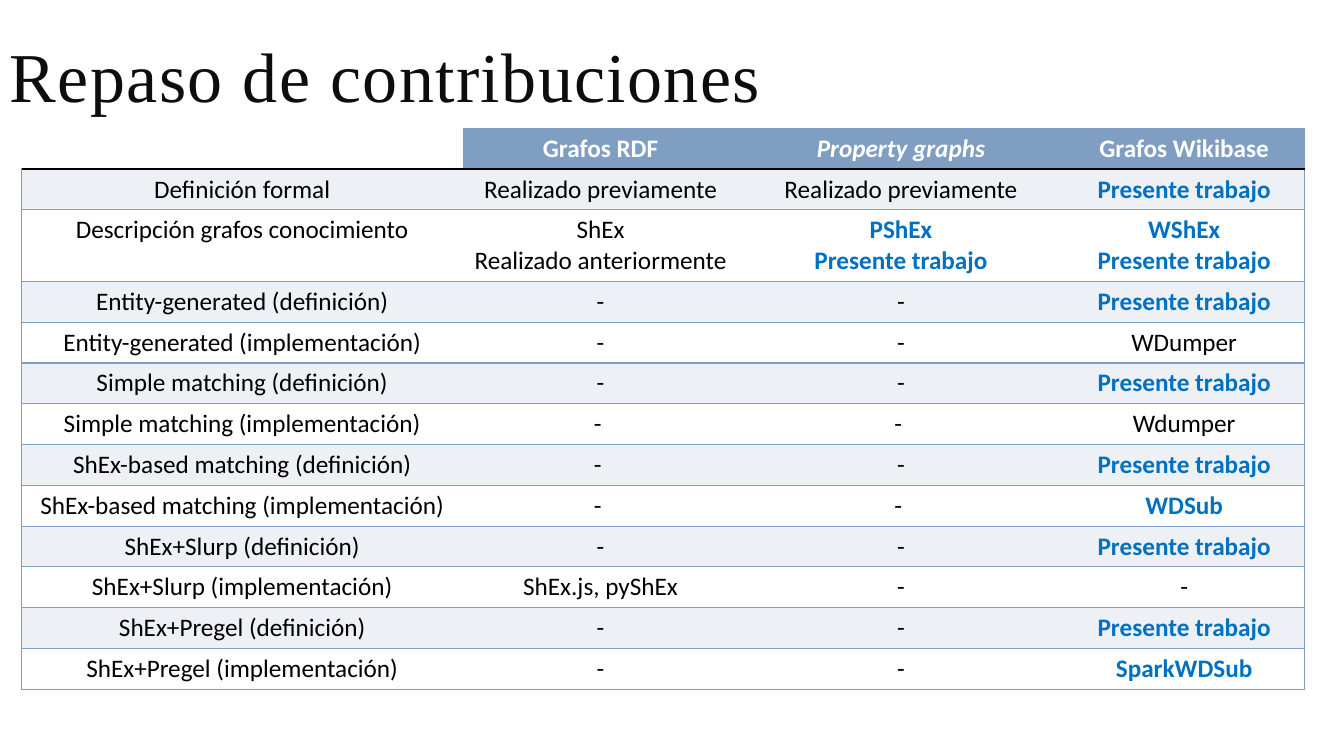
"""Build the slide that reviews the contributions in a table."""
from pptx import Presentation
from pptx.dml.color import RGBColor
from pptx.enum.text import MSO_ANCHOR, PP_ALIGN
from pptx.oxml.ns import qn
from pptx.util import Pt
from lxml.etree import SubElement

TITLE = "Repaso de contribuciones"
HEADERS = ("", "Grafos RDF", "Property graphs", "Grafos Wikibase")
CONTRIBUTIONS = [
    ("Definición formal", "Realizado previamente", "Realizado previamente", "Presente trabajo"),
    ("Descripción grafos conocimiento", "ShEx\nRealizado anteriormente",
     "PShEx\nPresente trabajo", "WShEx\nPresente trabajo"),
    ("Entity-generated (definición)", "-", "-", "Presente trabajo"),
    ("Entity-generated (implementación)", "-", "-", "WDumper"),
    ("Simple matching (definición)", "-", "-", "Presente trabajo"),
    ("Simple matching (implementación)", "- ", "- ", "Wdumper"),
    ("ShEx-based matching (definición)", "- ", "-", "Presente trabajo"),
    ("ShEx-based matching (implementación)", "- ", "- ", "WDSub"),
    ("ShEx+Slurp (definición)", "-", "-", "Presente trabajo"),
    ("ShEx+Slurp (implementación)", "ShEx.js, pyShEx", "-", "-"),
    ("ShEx+Pregel (definición)", "-", "-", "Presente trabajo"),
    ("ShEx+Pregel (implementación)", "-", "-", "SparkWDSub"),
]
OWN_WORK = {"Presente trabajo", "PShEx", "WShEx", "WDSub", "SparkWDSub"}
ITALIC_HEADER = "Property graphs"

COLUMN_WIDTHS = (315.4, 196.6, 232.6, 172)
LINE_HEIGHT = 21.95
CELL_PADDING = 7.2

STEEL = RGBColor(0x80, 0x9E, 0xC2)
BAND = RGBColor(0xED, 0xF0, 0xF4)
WHITE = RGBColor(0xFF, 0xFF, 0xFF)
BLACK = RGBColor(0, 0, 0)
BLUE = RGBColor(0x00, 0x70, 0xC0)
TITLE_INK = RGBColor(0x0D, 0x0D, 0x0D)


def set_borders(cell, left, right, top, bottom):
    """Draw the given side colours and hide the sides given as None."""
    properties = cell._tc.get_or_add_tcPr()
    for tag, color in zip(("a:lnL", "a:lnR", "a:lnT", "a:lnB"), (left, right, top, bottom)):
        line = SubElement(properties, qn(tag), w=str(Pt(1)))
        if color is None:
            SubElement(line, qn("a:noFill"))
        else:
            SubElement(SubElement(line, qn("a:solidFill")), qn("a:srgbClr"), val=str(color))


def add_title(slide):
    """Place the slide title."""
    title = slide.shapes.add_textbox(0, 0, Pt(946.8), Pt(118)).text_frame
    title.word_wrap = True
    title.vertical_anchor = MSO_ANCHOR.MIDDLE
    paragraph = title.paragraphs[0]
    paragraph.text = TITLE
    paragraph.line_spacing = 0.8
    run = paragraph.runs[0]
    run.font.name = "Times New Roman"
    run.font.size = Pt(50)
    run.font.color.rgb = TITLE_INK
    run.font._element.set("spc", "100")


def write_cell(cell, text, is_header):
    """Write centred text and colour it by its role."""
    cell.text_frame.text = text
    for paragraph in cell.text_frame.paragraphs:
        own = paragraph.text in OWN_WORK
        paragraph.alignment = PP_ALIGN.CENTER
        paragraph.font.size = Pt(18)
        for run in paragraph.runs:
            run.font.name = "Calibri"
            run.font.size = Pt(18)
            run.font.bold = is_header or own
            run.font.italic = run.text == ITALIC_HEADER
            run.font.color.rgb = WHITE if is_header else BLUE if own else BLACK


def add_contributions(slide):
    """Place the table of contributions."""
    rows = [HEADERS, *CONTRIBUTIONS]
    heights = [CELL_PADDING + LINE_HEIGHT * (1 + max(text.count("\n") for text in row))
               for row in rows]
    last_column = len(HEADERS) - 1
    table = slide.shapes.add_table(len(rows), len(HEADERS), Pt(15.3), Pt(91.6),
                                   Pt(sum(COLUMN_WIDTHS)), Pt(sum(heights))).table
    table.first_row = table.horz_banding = False
    for column, width in zip(table.columns, COLUMN_WIDTHS):
        column.width = Pt(width)
    for r, (row, height) in enumerate(zip(rows, heights)):
        table.rows[r].height = Pt(height)
        is_header = r == 0
        for c, text in enumerate(row):
            cell = table.cell(r, c)
            is_corner = is_header and c == 0
            write_cell(cell, text, is_header)
            set_borders(
                cell,
                left=STEEL if c == 0 and not is_header else None,
                right=STEEL if c == last_column else None,
                top=None if is_corner else BLACK if r == 1 else STEEL,
                bottom=BLACK if is_header else STEEL,
            )
            if is_corner:
                cell.fill.background()
            else:
                cell.fill.solid()
                cell.fill.fore_color.rgb = STEEL if is_header else BAND if r % 2 else WHITE


def main():
    """Build and save the presentation."""
    presentation = Presentation()
    presentation.slide_width = Pt(960)
    presentation.slide_height = Pt(540)
    slide = presentation.slides.add_slide(presentation.slide_layouts[6])
    add_title(slide)
    add_contributions(slide)
    presentation.save("out.pptx")


if __name__ == "__main__":
    main()
